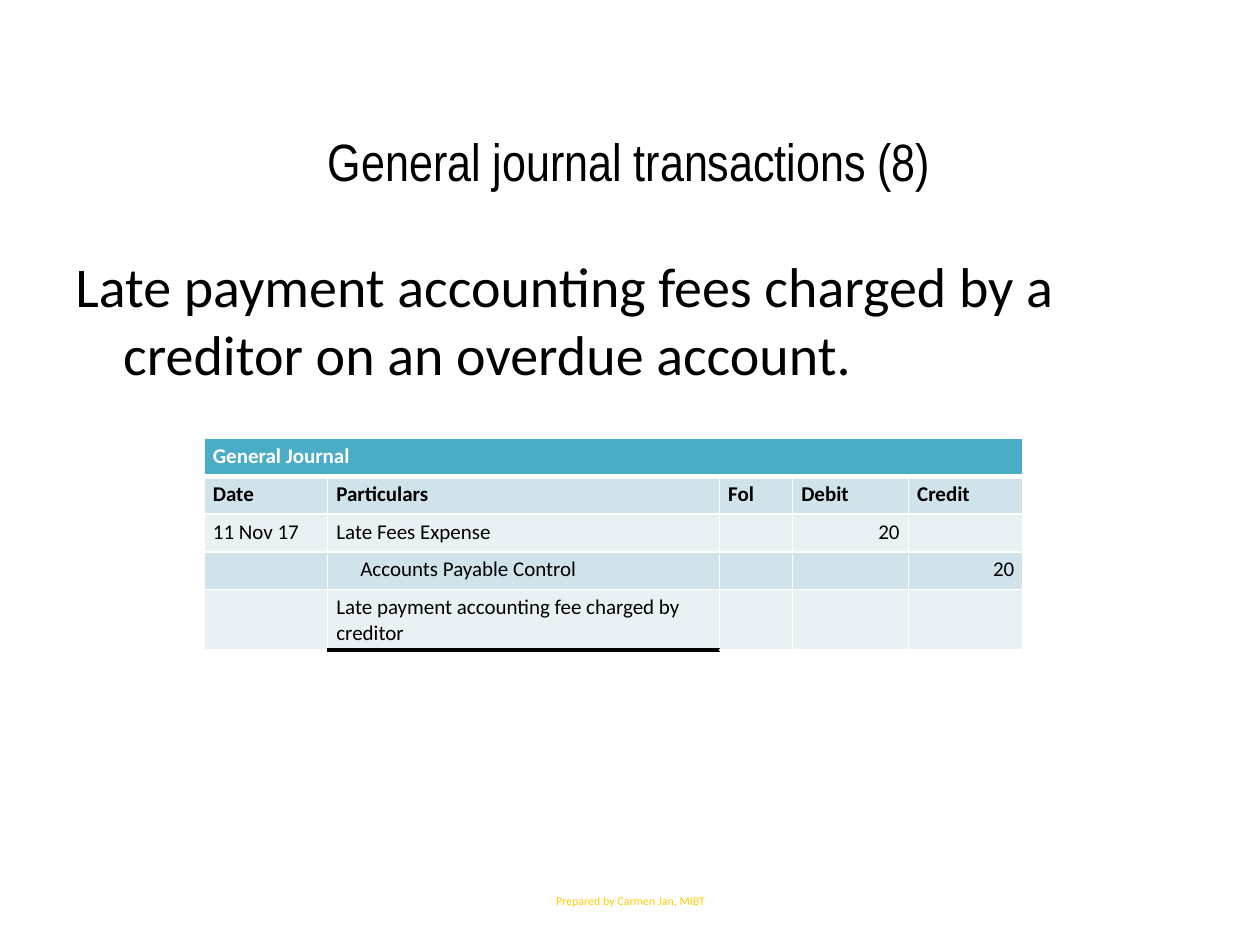
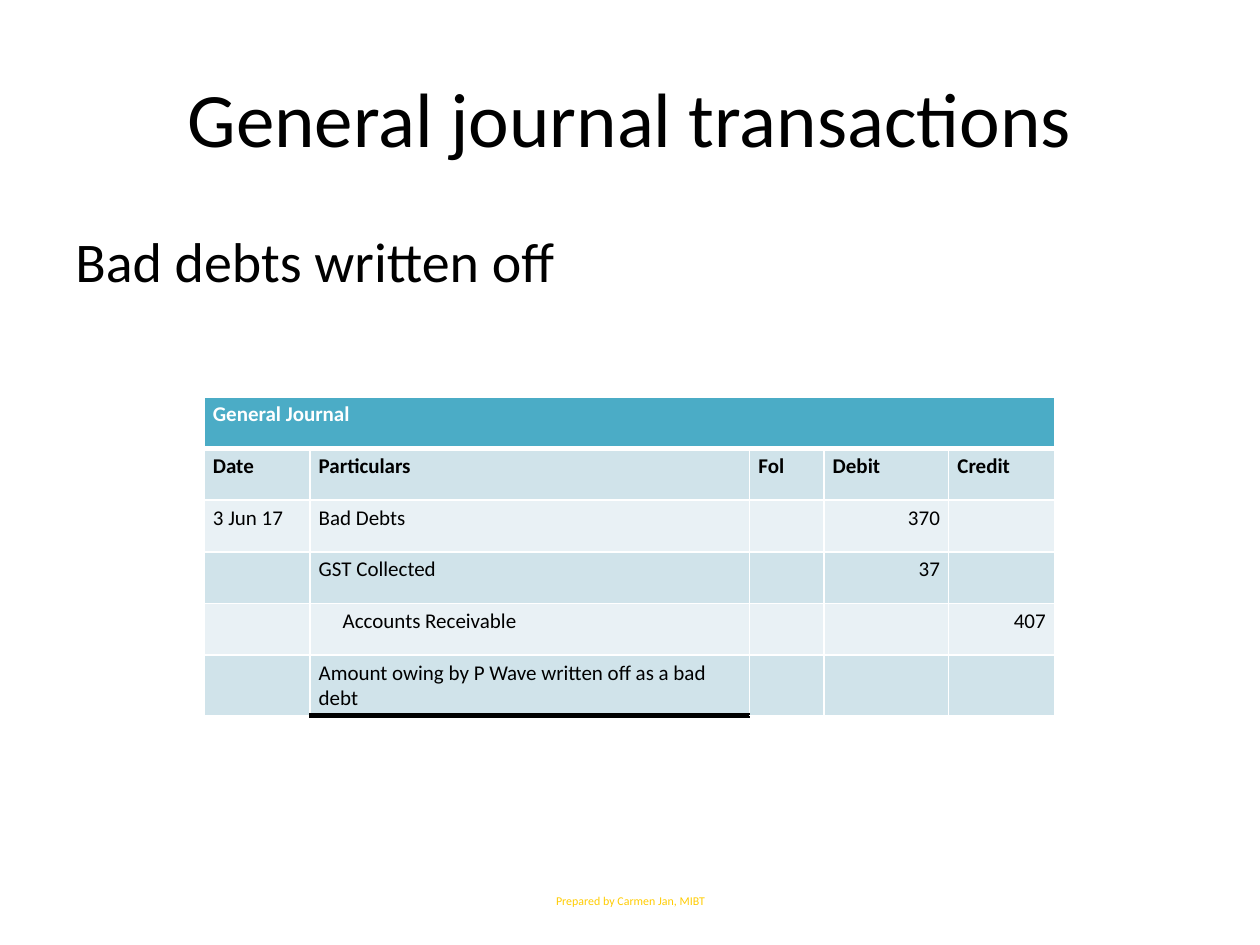
from lxml.etree import SubElement
from pptx import Presentation
from pptx.dml.color import RGBColor as Rgb
from pptx.enum.text import MSO_ANCHOR as Anchor, PP_ALIGN as Align
from pptx.oxml.ns import qn
from pptx.util import Inches, Pt

THEME = {
    "ink": "000000", "paper": "FFFFFF", "head": "4BACC6",
    "bands": ("E9F1F5", "D0E3EA"), "credit": "FFCC00",
    "font": "Calibri", "narrow": "Arial Narrow",
    "title": 44, "subtitle": 30, "body": 32, "cell": 12, "foot": 6.8,
    "thin": 1, "thick": 3,
}

FOOTER = "Prepared by Carmen Jan, MIBT"
FOOT_BOX = (3.42, 6.95, 3.17, 0.4)
LEDGER = "General Journal"
HEADS = ("Date", "Particulars", "Fol", "Debit", "Credit")
LEFT = 1.62
NOTE_ROW = 0.48

# Entries: date, particulars, debit, credit; credit accounts are indented
SLIDES = [
    {
        "title": "General journal transactions (8)",
        "title_box": (1.62, 0.91, 6.75, 0.73),
        "title_font": ("narrow", "subtitle"),
        "body": "Late payment accounting fees charged by a creditor "
                "on an overdue account.",
        "body_box": (0.5, 1.95, 9, 4.75),
        "top": 3.48, "row": 0.3,
        "cols": (0.98, 3.11, 0.58, 0.92, 0.91),
        "entries": [
            ("11 Nov 17", "Late Fees Expense", "20", ""),
            ("", "Accounts Payable Control", "", "20"),
        ],
        "note": "Late payment accounting fee charged by creditor",
    },
    {
        "title": "General journal transactions",
        "title_box": (0.5, 0.3, 9, 1.25),
        "title_font": ("font", "title"),
        "body": "Bad debts written off",
        "body_box": (0.5, 1.75, 9, 4.95),
        "top": 3.15, "row": 0.41,
        "cols": (0.84, 3.49, 0.59, 0.99, 0.84),
        "entries": [
            ("3 Jun 17", "Bad Debts", "370", ""),
            ("", "GST Collected", "37", ""),
            ("", "Accounts Receivable", "", "407"),
        ],
        "note": "Amount owing by P Wave written off as a bad debt",
    },
]


def put(item, values):
    for name, value in values.items():
        setattr(item, name, value)


def style(font, face="font", size="body", color="ink", bold=False):
    put(font, {"name": THEME[face], "size": Pt(THEME[size]), "bold": bold})
    font.color.rgb = Rgb.from_string(THEME[color])


def write(slide, box, text, anchor=Anchor.MIDDLE, align=Align.CENTER, **look):
    frame = slide.shapes.add_textbox(*map(Inches, box)).text_frame
    put(frame, {"word_wrap": True, "vertical_anchor": anchor})
    para = frame.paragraphs[0]
    para.alignment = align
    run = para.add_run()
    run.text = text
    style(run.font, **look)
    return para


def indent(para, left, first=0):
    props = para._p.get_or_add_pPr()
    props.set("marL", str(Inches(left)))
    props.set("indent", str(Inches(first)))


def edge(cell, side, color, width):
    line = SubElement(cell._tc.get_or_add_tcPr(), qn("a:ln" + side),
                      w=str(Pt(width)))
    fill = SubElement(line, qn("a:solidFill"))
    SubElement(fill, qn("a:srgbClr"), val=color)


def paint(cell, color, top="thin", bottom="thin", base="paper"):
    """Set the margins, the four borders and the fill of a cell."""
    put(cell, {"margin_left": Inches(0.07), "margin_right": Inches(0.07),
               "margin_top": Inches(0.04), "margin_bottom": Inches(0.04)})
    sides = (("L", "paper", "thin"), ("R", "paper", "thin"),
             ("T", "paper", top), ("B", base, bottom))
    for side, tone, width in sides:
        edge(cell, side, THEME[tone], THEME[width])
    cell.fill.solid()
    cell.fill.fore_color.rgb = Rgb.from_string(color)


def fill_in(cell, text, **look):
    para = cell.text_frame.paragraphs[0]
    if text:
        run = para.add_run()
        run.text = text
        style(run.font, size="cell", **look)
    else:
        SubElement(para._p, qn("a:endParaRPr"), sz=str(THEME["cell"] * 100))
    return para


def journal(slide, page):
    entries = [(date, name, "", debit, credit)
               for date, name, debit, credit in page["entries"]]
    rows = [(LEDGER, "", "", "", ""), HEADS, *entries,
            ("", page["note"], "", "", "")]
    last = len(rows) - 1
    highs = [page["row"]] * last + [NOTE_ROW]
    box = (LEFT, page["top"], sum(page["cols"]), sum(highs))
    table = slide.shapes.add_table(len(rows), len(HEADS),
                                   *map(Inches, box)).table
    for col, width in zip(table.columns, page["cols"]):
        col.width = Inches(width)
    for row, high in zip(table.rows, highs):
        row.height = Inches(high)
    table.cell(0, 0).merge(table.cell(0, len(HEADS) - 1))
    for r, row in enumerate(rows):
        for c, text in enumerate(row):
            cell = table.cell(r, c)
            rule = r == last and c == 1
            paint(cell, THEME["bands"][r % 2] if r else THEME["head"],
                  top="thick" if r == 1 else "thin",
                  bottom="thick" if r == 0 or rule else "thin",
                  base="ink" if rule else "paper")
            para = fill_in(cell, text, bold=r < 2,
                           color="ink" if r else "paper")
            if r > 1 and c > 2:
                para.alignment = Align.RIGHT
            if 1 < r < last and c == 1 and row[-1]:
                indent(para, 0.19)


def build(deck, page):
    slide = deck.slides.add_slide(deck.slide_layouts[6])
    face, size = page["title_font"]
    write(slide, page["title_box"], page["title"], face=face, size=size)
    body = write(slide, page["body_box"], page["body"], Anchor.TOP, Align.LEFT)
    indent(body, 0.38, -0.38)
    write(slide, FOOT_BOX, FOOTER, size="foot", color="credit")
    journal(slide, page)


def main():
    deck = Presentation()
    put(deck, {"slide_width": Inches(10), "slide_height": Inches(7.5)})
    for page in SLIDES:
        build(deck, page)
    deck.save("out.pptx")


if __name__ == "__main__":
    main()
